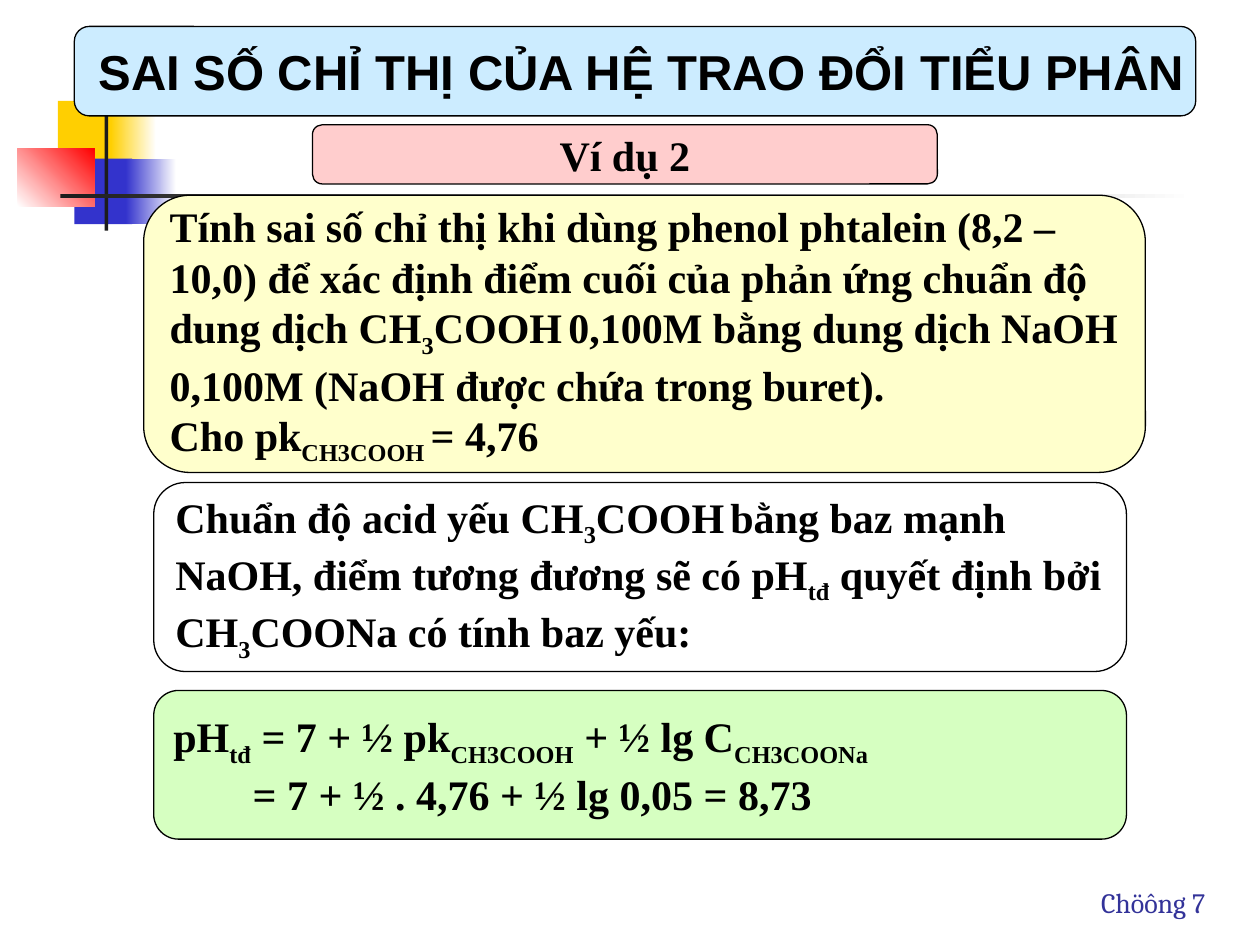
import pptx
import pptx.dml.color
import pptx.enum.shapes
import pptx.enum.text
import pptx.util
from dataclasses import dataclass

Inches = pptx.util.Inches
SHAPE = pptx.enum.shapes.MSO_SHAPE
ALIGN = pptx.enum.text.PP_ALIGN


@dataclass(frozen=True)
class Theme:
    """Colours, fonts and type sizes of the slide."""
    white: str = "FFFFFF"
    black: str = "000000"
    dark: str = "1C1C1C"
    gold: str = "FFCF01"
    blue: str = "3333CC"
    red: str = "FF0000"
    footer: str = "333399"
    title_fill: str = "CCECFF"
    example_fill: str = "FFCDCD"
    problem_fill: str = "FFFFCC"
    result_fill: str = "D6FFC1"
    title_font: str = "Arial"
    body_font: str = "Times New Roman"
    footer_font: str = "Cambria"
    title_size: int = 28
    body_size: int = 24
    footer_size: int = 16


T = Theme()

# (left, top, width, height), colours from start to end, gradient angle
ORNAMENTS = [
    ((0.46, 0.8, 0.48, 0.52), [T.gold], 0),
    ((0.88, 0.8, 0.36, 0.52), [T.gold, T.white], 0),
    ((0.59, 1.26, 0.46, 0.52), [T.blue], 0),
    ((1, 1.26, 0.4, 0.52), [T.blue, T.white], 0),
    ((0.14, 1.18, 0.61, 0.46), [T.white, T.red], 45),
    ((0.83, 0.68, 0.03, 1.15), [T.dark], 0),
    ((0.48, 1.54, 9, 0.03), [T.dark, T.white], 0),
]

# Text between bars is subscript; a leading tab indents the line.
PROBLEM = [
    "Tính sai số chỉ thị khi dùng phenol phtalein (8,2 –",
    "10,0) để xác định điểm cuối của phản ứng chuẩn độ",
    "dung dịch CH|3|COOH| |0,100M bằng dung dịch NaOH",
    "0,100M (NaOH được chứa trong buret).",
    "Cho pk|CH3COOH |= 4,76",
]
REASONING = [
    "Chuẩn độ acid yếu CH|3|COOH| |bằng baz mạnh",
    "NaOH, điểm tương đương sẽ có pH|tđ| quyết định bởi",
    "CH|3|COONa có tính baz yếu:",
]
RESULT = [
    "pH|tđ| = 7 + ½ pk|CH3COOH| + ½ lg C|CH3COONa|",
    "\t= 7 + ½ . 4,76 + ½ lg 0,05 = 8,73",
]
TITLE = ["SAI SỐ CHỈ THỊ CỦA HỆ TRAO ĐỔI TIỂU PHÂN"]
BODY = (T.body_font, T.body_size)
HEADING = (T.title_font, T.title_size)

# place, fill, lines, (font, size), alignment, right inset
PANELS = [
    ((1.14, 1.55, 7.95, 2.2), T.problem_fill, PROBLEM, BODY, ALIGN.LEFT, 0),
    ((1.22, 3.83, 7.72, 1.5), T.white, REASONING, BODY, ALIGN.LEFT, 0),
    ((1.22, 5.48, 7.72, 1.18), T.result_fill, RESULT, BODY, ALIGN.LEFT, 0),
    ((2.48, 0.99, 4.96, 0.47), T.example_fill, ["Ví dụ 2"], BODY, ALIGN.CENTER, 0.1),
    ((0.59, 0.21, 8.9, 0.71), T.title_fill, TITLE, HEADING, ALIGN.CENTER, 0),
]
FOOTER = ((8.64, 6.98, 1.16, 0.37), "Chöông 7")
RESULT_INDENT = Inches(0.63)


def rgb(code):
    """Turn a hex code into a colour."""
    return pptx.dml.color.RGBColor.from_string(code)


def add_box(slide, kind, place, colours, angle=0):
    """Add a shape with a solid or two-colour gradient fill and no line."""
    sp = slide.shapes.add_shape(kind, *map(Inches, place))
    sp.shadow.inherit = False
    sp.line.fill.background()
    if len(colours) == 1:
        sp.fill.solid()
        sp.fill.fore_color.rgb = rgb(colours[0])
    else:
        sp.fill.gradient()
        sp.fill.gradient_angle = angle
        for i, (stop, colour) in enumerate(zip(sp.fill.gradient_stops, colours)):
            stop.position = i
            stop.color.rgb = rgb(colour)
    return sp


def set_font(p, name, size, colour, bold=False):
    """Set the font shared by all runs of a paragraph."""
    p.font.name, p.font.size, p.font.bold = name, pptx.util.Pt(size), bold
    p.font.color.rgb = rgb(colour)


def write_line(p, line):
    """Write one line, with subscripts and indent."""
    if line.startswith("\t"):
        p._p.get_or_add_pPr().set("marL", str(RESULT_INDENT))
    for i, piece in enumerate(line.strip("\t").split("|")):
        if piece:
            r = p.add_run()
            r.text = piece
            if i % 2:
                r._r.get_or_add_rPr().set("baseline", "-25000")


def add_panel(slide, place, fill, lines, font, align, right):
    """Add a rounded, outlined panel holding lines of bold text."""
    sp = add_box(slide, SHAPE.ROUNDED_RECTANGLE, place, [fill])
    sp.line.color.rgb = rgb(T.black)
    sp.line.width = pptx.util.Pt(0.75)
    tf = sp.text_frame
    tf.word_wrap = True
    tf.margin_right = Inches(right)
    tf.vertical_anchor = pptx.enum.text.MSO_ANCHOR.MIDDLE
    for i, line in enumerate(lines):
        p = tf.add_paragraph() if i else tf.paragraphs[0]
        p.alignment = align
        set_font(p, *font, T.black, bold=True)
        write_line(p, line)


def add_footer(slide, place, text):
    """Add the chapter label."""
    tf = slide.shapes.add_textbox(*map(Inches, place)).text_frame
    tf.word_wrap = True
    p = tf.paragraphs[0]
    p.text = text
    set_font(p, T.footer_font, T.footer_size, T.footer)


prs = pptx.Presentation()
prs.slide_width, prs.slide_height = Inches(10), Inches(7.5)
slide = prs.slides.add_slide(prs.slide_layouts[6])
for ornament in ORNAMENTS:
    add_box(slide, SHAPE.RECTANGLE, *ornament)
add_footer(slide, *FOOTER)
for panel in PANELS:
    add_panel(slide, *panel)
prs.save("out.pptx")
